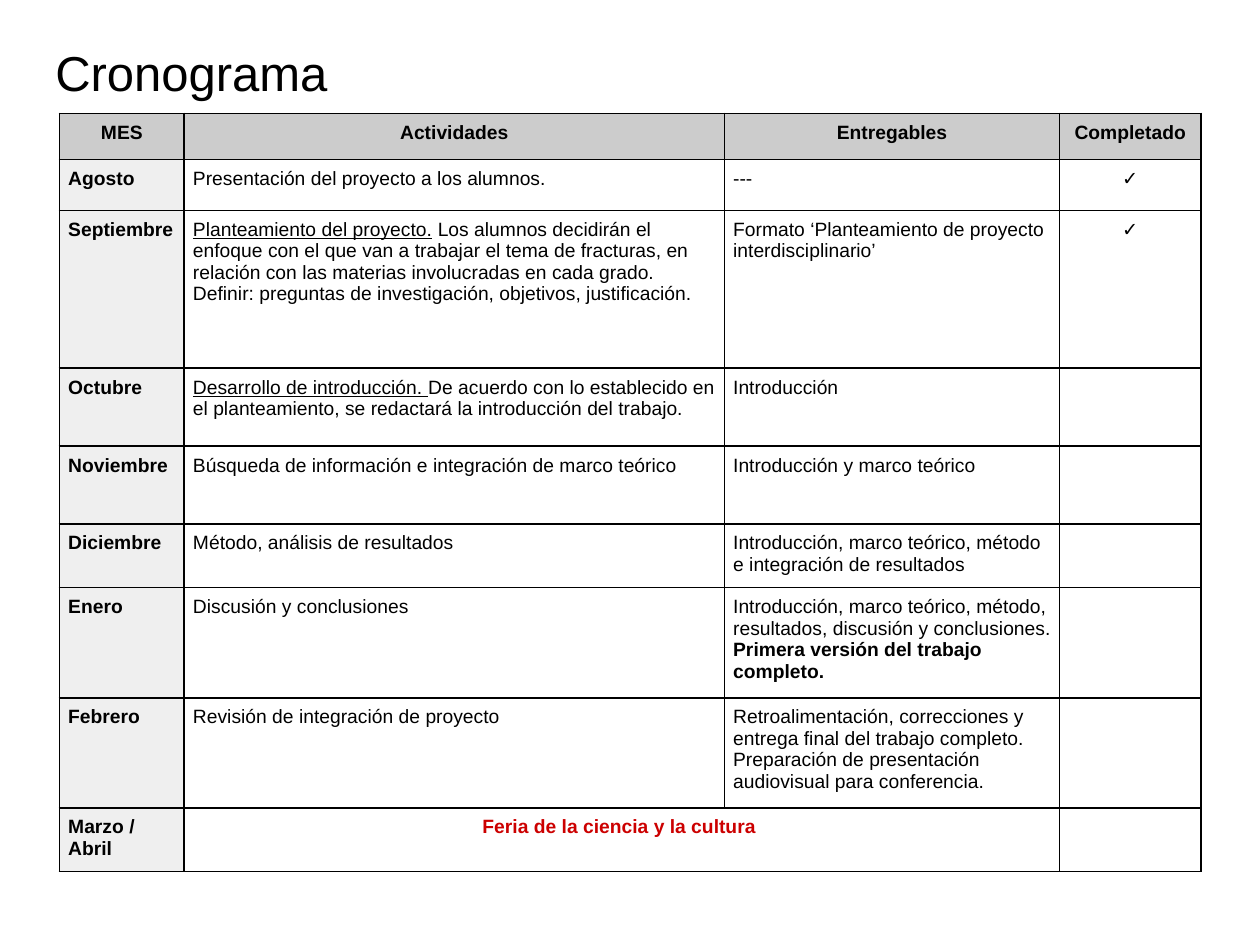
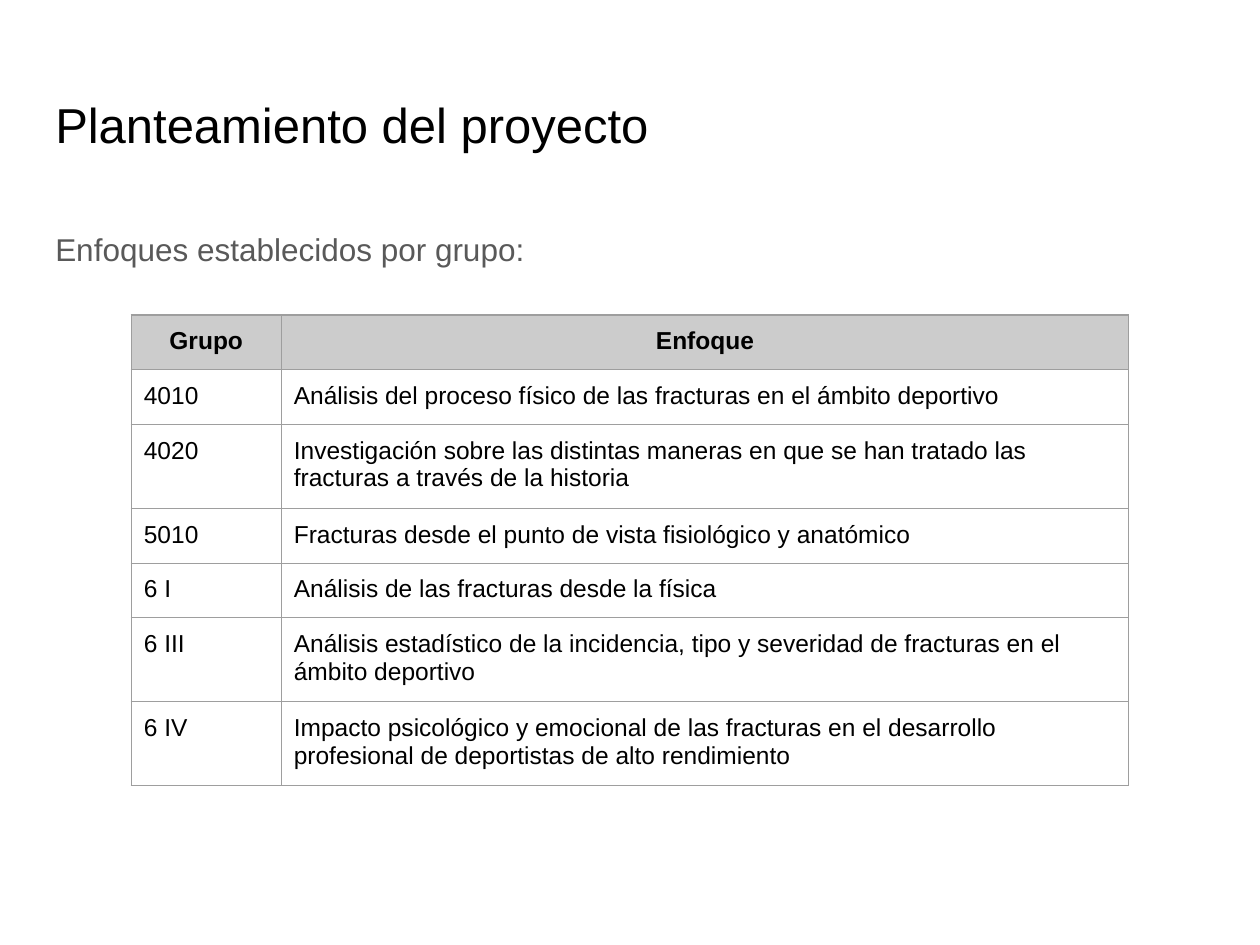
"""Builds the project schedule and the group focus slides."""
from dataclasses import dataclass

from lxml.etree import SubElement
from pptx import Presentation
from pptx.dml.color import RGBColor
from pptx.enum.text import MSO_ANCHOR, PP_ALIGN
from pptx.oxml.ns import qn
from pptx.util import Pt


@dataclass(frozen=True)
class Theme:
    font: str = "Arial"
    ink: str = "000000"
    body: str = "595959"
    event: str = "CC0000"
    header_fill: str = "CCCCCC"
    month_fill: str = "EFEFEF"
    schedule_border: str = "000000"
    focus_border: str = "9E9E9E"
    title_size: float = 28
    body_size: float = 18
    focus_size: float = 14
    schedule_size: float = 11


theme = Theme()


def write(frame, content, size, color=theme.ink, bold=False, align=PP_ALIGN.LEFT):
    paragraphs = [[(content, "")]] if isinstance(content, str) else content
    for index, runs in enumerate(paragraphs):
        paragraph = frame.add_paragraph() if index else frame.paragraphs[0]
        paragraph.alignment = align
        paragraph.font.size = Pt(size)
        for text, emphasis in runs:
            run = paragraph.add_run()
            run.text = text
            run.font.name = theme.font
            run.font.size = Pt(size)
            run.font.bold = bold or emphasis == "bold"
            run.font.underline = emphasis == "underline"
            run.font.color.rgb = RGBColor.from_string(color)


def draw_grid(slide, left, top, widths, heights, margin, border, border_width):
    grid = slide.shapes.add_table(len(heights), len(widths), Pt(left), Pt(top),
                                  Pt(sum(widths)), Pt(sum(heights))).table
    grid.horz_banding = False
    for column, width in zip(grid.columns, widths):
        column.width = Pt(width)
    for row, height in zip(grid.rows, heights):
        row.height = Pt(height)
    for cell in grid.iter_cells():
        cell.margin_left = cell.margin_right = Pt(margin)
        cell.margin_top = cell.margin_bottom = Pt(margin)
        properties = cell._tc.get_or_add_tcPr()
        for side in ("a:lnL", "a:lnR", "a:lnT", "a:lnB"):
            line = SubElement(properties, qn(side), w=str(Pt(border_width)))
            SubElement(SubElement(line, qn("a:solidFill")), qn("a:srgbClr"), val=border)
        cell.fill.background()
    for cell in grid.rows[0].cells:
        cell.fill.solid()
        cell.fill.fore_color.rgb = RGBColor.from_string(theme.header_fill)
    return grid


schedule = [
    ("MES", "Actividades", "Entregables", "Completado"),
    ("Agosto", "Presentación del proyecto a los alumnos.", "---", "✓"),
    ("Septiembre",
     [[("Planteamiento del proyecto.", "underline"),
       (" Los alumnos decidirán el enfoque con el que van a trabajar el tema de fracturas, "
        "en relación con las materias involucradas en cada grado. Definir: preguntas de "
        "investigación, objetivos, justificación.", "")]],
     "Formato ‘Planteamiento de proyecto interdisciplinario’", "✓"),
    ("Octubre",
     [[("Desarrollo de introducción. ", "underline"),
       ("De acuerdo con lo establecido en el planteamiento, se redactará la introducción "
        "del trabajo.", "")]],
     "Introducción", ""),
    ("Noviembre", "Búsqueda de información e integración de marco teórico",
     "Introducción y marco teórico", ""),
    ("Diciembre", "Método, análisis de resultados",
     "Introducción, marco teórico, método e integración de resultados", ""),
    ("Enero", "Discusión y conclusiones",
     [[("Introducción, marco teórico, método, resultados, discusión y conclusiones.", "")],
      [("Primera versión del trabajo completo.", "bold")]], ""),
    ("Febrero", "Revisión de integración de proyecto",
     [[("Retroalimentación, correcciones y entrega final del trabajo completo.", "")],
      [("Preparación de presentación audiovisual para conferencia.", "")]], ""),
    ("Marzo / Abril", "Feria de la ciencia y la cultura ", "", ""),
]
focuses = [
    ("Grupo", "Enfoque"),
    ("4010", "Análisis del proceso físico de las fracturas en el ámbito deportivo"),
    ("4020", "Investigación sobre las distintas maneras en que se han tratado las fracturas "
             "a través de la historia"),
    ("5010", "Fracturas desde el punto de vista fisiológico y anatómico"),
    ("6 I", "Análisis de las fracturas desde la física"),
    ("6 III", "Análisis estadístico de la incidencia, tipo y severidad de fracturas en el "
              "ámbito deportivo"),
    ("6 IV", "Impacto psicológico y emocional de las fracturas en el desarrollo profesional "
             "de deportistas de alto rendimiento"),
]

deck = Presentation()
deck.slide_width, deck.slide_height = Pt(720), Pt(540)
schedule_slide, focus_slide = [deck.slides.add_slide(deck.slide_layouts[6]) for _ in range(2)]

for slide, text, top, height, size, color in (
    (schedule_slide, "Cronograma", 17.3, 60, theme.title_size, theme.ink),
    (focus_slide, "Planteamiento del proyecto", 46.8, 60, theme.title_size, theme.ink),
    (focus_slide, "Enfoques establecidos por grupo:", 121, 41, theme.body_size, theme.body),
):
    frame = slide.shapes.add_textbox(Pt(24.5), Pt(top), Pt(671), Pt(height)).text_frame
    frame.word_wrap = True
    frame.vertical_anchor = MSO_ANCHOR.TOP
    frame.margin_left = frame.margin_right = Pt(7.2)
    frame.margin_top = frame.margin_bottom = Pt(7.2)
    write(frame, text, size, color)
    if size == theme.body_size:
        frame.paragraphs[0].line_spacing = 1.15
        frame.paragraphs[0].space_after = Pt(16)

calendar = draw_grid(schedule_slide, 34, 64.8, (71.3, 308.7, 191.6, 80.7),
                     (26.4, 29, 90.2, 44.5, 44.5, 35.2, 63, 59.2, 34.5),
                     5, theme.schedule_border, 1)
last_row = len(schedule) - 1
calendar.cell(last_row, 1).merge(calendar.cell(last_row, 2))
for row, entries in enumerate(schedule):
    for column, entry in enumerate(entries):
        cell = calendar.cell(row, column)
        if cell.is_spanned:
            continue
        is_event = row == last_row and column == 1
        if row and column == 0:
            cell.fill.solid()
            cell.fill.fore_color.rgb = RGBColor.from_string(theme.month_fill)
        if entry:
            write(cell.text_frame, entry, theme.schedule_size,
                  theme.event if is_event else theme.ink,
                  row == 0 or column == 0 or is_event,
                  PP_ALIGN.CENTER if row == 0 or column == 3 or is_event else PP_ALIGN.LEFT)

one_line, two_lines = 30.15, 45.9
focus_grid = draw_grid(focus_slide, 75, 180, (85.7, 484.4),
                       [two_lines if len(focus) > 70 else one_line for _, focus in focuses],
                       7.2, theme.focus_border, 0.75)
for row, entries in enumerate(focuses):
    for column, entry in enumerate(entries):
        write(focus_grid.cell(row, column).text_frame, entry, theme.focus_size, bold=row == 0,
              align=PP_ALIGN.LEFT if row else PP_ALIGN.CENTER)

deck.save("out.pptx")
